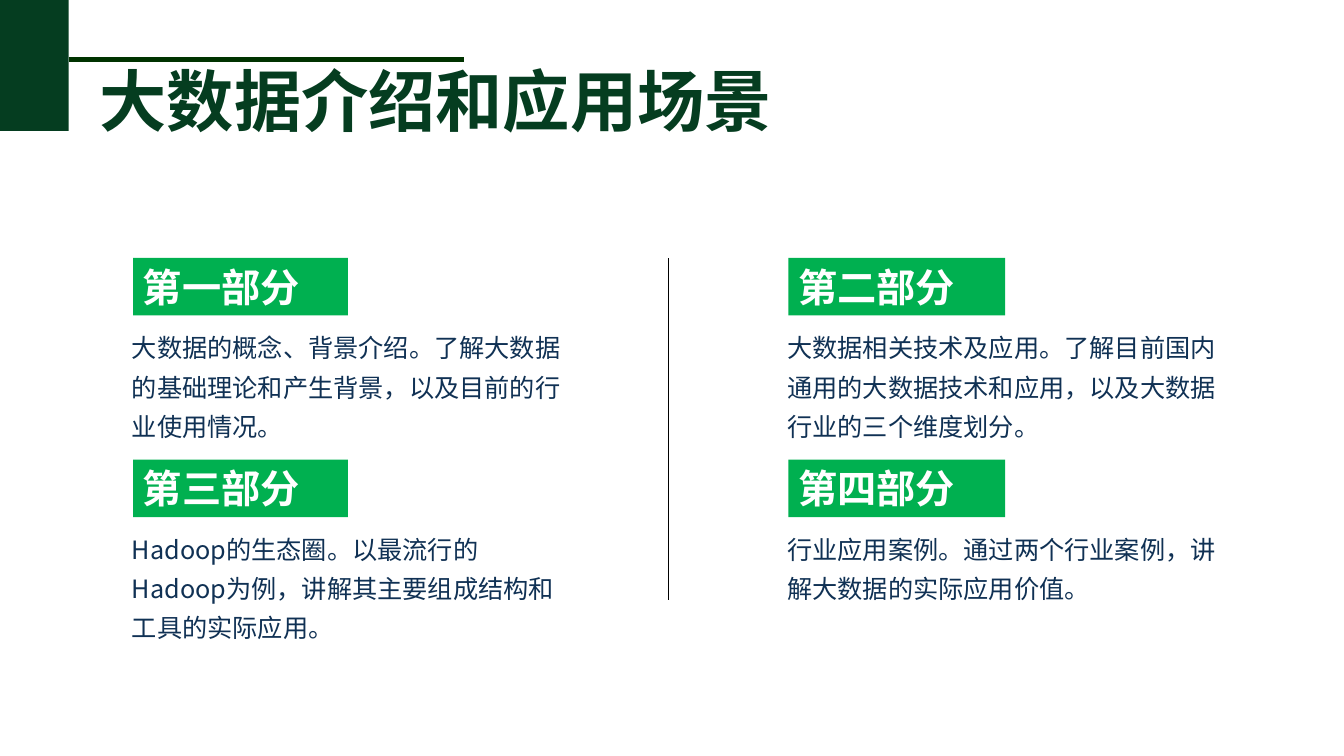
from dataclasses import dataclass

from pptx import Presentation
from pptx.dml.color import RGBColor
from pptx.enum.shapes import MSO_CONNECTOR, MSO_SHAPE
from pptx.enum.text import MSO_ANCHOR, MSO_AUTO_SIZE, PP_ALIGN
from pptx.oxml.ns import qn
from pptx.shapes.autoshape import Shape
from pptx.slide import Slide
from pptx.util import Inches, Pt
from lxml.etree import SubElement

DARK_GREEN = RGBColor(0x05, 0x3D, 0x20)
RULE_GREEN = RGBColor(0x00, 0x33, 0x00)
LABEL_GREEN = RGBColor(0x00, 0xB0, 0x50)
NAVY = RGBColor(0x10, 0x31, 0x54)
WHITE = RGBColor(0xFF, 0xFF, 0xFF)
BLACK = RGBColor(0x00, 0x00, 0x00)

LATIN_FONT = "Calibri"
CJK_FONT = "Noto Sans CJK SC"

COLUMN_LEFTS = (1.32, 7.82)
LABEL_WIDTHS = (2.13, 2.15)
FIRST_TOP, ROW_STEP = 2.56, 2.0


@dataclass
class Section:
    label: str
    body: str
    body_height: float = 1.28


SECTIONS = [
    Section("第一部分", "大数据的概念、背景介绍。了解大数据的基础理论和产生背景，以及目前的行业使用情况。"),
    Section("第二部分", "大数据相关技术及应用。了解目前国内通用的大数据技术和应用，以及大数据行业的三个维度划分。"),
    Section("第三部分", "Hadoop的生态圈。以最流行的Hadoop为例，讲解其主要组成结构和工具的实际应用。"),
    Section("第四部分", "行业应用案例。通过两个行业案例，讲解大数据的实际应用价值。", 0.89),
]


def add_block(s: Slide, left: float, top: float, width: float, height: float,
              color: RGBColor) -> Shape:
    sp = s.shapes.add_shape(MSO_SHAPE.RECTANGLE, Inches(left), Inches(top),
                            Inches(width), Inches(height))
    sp.shadow.inherit = False
    sp.fill.solid()
    sp.fill.fore_color.rgb = color
    sp.line.fill.background()
    return sp


def add_line(s: Slide, x1: float, y1: float, x2: float, y2: float,
             color: RGBColor, width: float) -> None:
    line = s.shapes.add_connector(MSO_CONNECTOR.STRAIGHT, Inches(x1), Inches(y1),
                                  Inches(x2), Inches(y2))
    line.line.color.rgb = color
    line.line.width = Pt(width)
    SubElement(line._element.spPr, qn("a:effectLst"))


def write_text(sp: Shape, text: str, size: float, color: RGBColor, font: str = LATIN_FONT,
               bold: bool = True, spacing: float = 1.0, wrap: bool = True) -> None:
    tf = sp.text_frame
    tf.word_wrap = wrap
    tf.auto_size = MSO_AUTO_SIZE.SHAPE_TO_FIT_TEXT
    tf.vertical_anchor = MSO_ANCHOR.TOP
    p = tf.paragraphs[0]
    p.text = text
    p.alignment = PP_ALIGN.LEFT
    p.line_spacing = spacing
    p.font.size = Pt(size)
    p.font.bold = bold
    p.font.color.rgb = color
    p.font.name = font
    # Chinese characters take the East Asian font
    SubElement(p._p.pPr.find(qn("a:defRPr")), qn("a:ea"), typeface=CJK_FONT)


def add_text(s: Slide, left: float, top: float, width: float, height: float) -> Shape:
    return s.shapes.add_textbox(Inches(left), Inches(top), Inches(width), Inches(height))


def add_section(s: Slide, index: int, section: Section) -> None:
    row, col = divmod(index, len(COLUMN_LEFTS))
    left, top = COLUMN_LEFTS[col], FIRST_TOP + row * ROW_STEP
    label = add_block(s, left, top, LABEL_WIDTHS[col], 0.57, LABEL_GREEN)
    write_text(label, section.label, 28, WHITE)
    body = add_text(s, left - 0.11, top + 0.6, 4.54, section.body_height)
    write_text(body, section.body, 18, NAVY, font=CJK_FONT, bold=False, spacing=1.3)


def main() -> None:
    prs = Presentation()
    prs.slide_width, prs.slide_height = Inches(13.33), Inches(7.5)
    s = prs.slides.add_slide(prs.slide_layouts[6])

    # Header
    add_block(s, 0, 0, 0.68, 1.3, DARK_GREEN)
    add_line(s, 0.68, 0.59, 4.6, 0.59, RULE_GREEN, 3)
    title = add_text(s, 0.89, 0.54, 6.93, 0.91)
    write_text(title, "大数据介绍和应用场景", 48, DARK_GREEN, wrap=False)

    # Four parts around the divider
    for index, section in enumerate(SECTIONS):
        add_section(s, index, section)
    add_line(s, 6.63, FIRST_TOP, 6.63, 5.95, BLACK, 1)

    prs.save("out.pptx")


if __name__ == "__main__":
    main()
